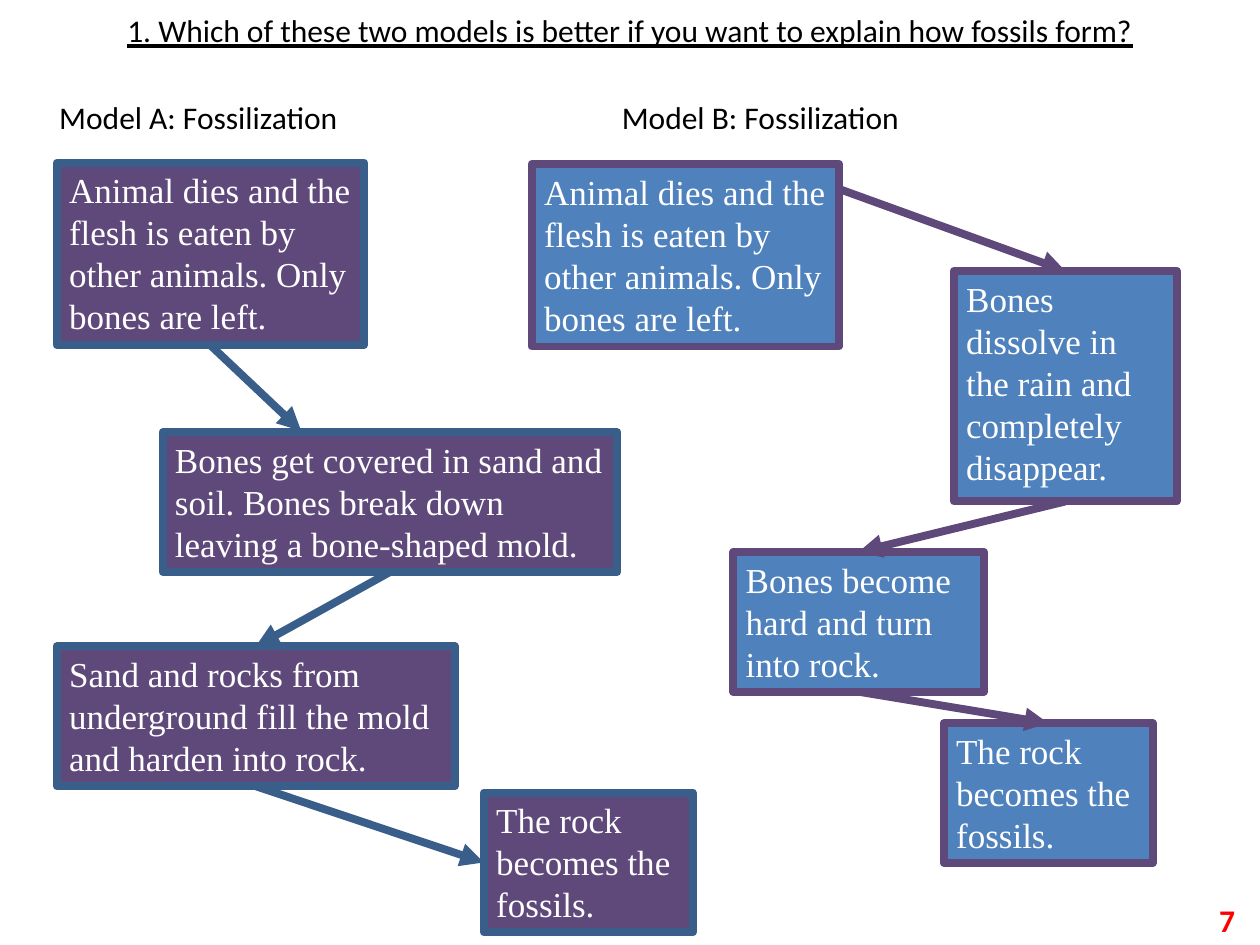
import pptx
import pptx.dml.color
import pptx.enum.shapes
import pptx.enum.text
import pptx.oxml
import pptx.oxml.ns
import pptx.util
from pptx.util import Inches


def color(value):
    return pptx.dml.color.RGBColor.from_string(value)


def write_text(shape, text, font_name, size, text_color, alignment):
    frame = shape.text_frame
    frame.word_wrap = True
    frame.auto_size = pptx.enum.text.MSO_AUTO_SIZE.SHAPE_TO_FIT_TEXT
    frame.vertical_anchor = pptx.enum.text.MSO_ANCHOR.TOP
    frame.text = text
    paragraph = frame.paragraphs[0]
    paragraph.alignment = alignment
    paragraph.font.name = font_name
    paragraph.font.size = pptx.util.Pt(size)
    paragraph.font.color.rgb = color(text_color)
    return paragraph


presentation = pptx.Presentation()
presentation.slide_width = Inches(10)
presentation.slide_height = Inches(7.5)
slide = presentation.slides.add_slide(presentation.slide_layouts[6])
align = pptx.enum.text.PP_ALIGN

labels = [
    ("1. Which of these two models is better if you want to explain how fossils form?",
     0, 0.04, 10, "000000", align.CENTER),
    ("Model A: Fossilization", 0.21, 0.73, 2.73, "000000", align.CENTER),
    ("Model B: Fossilization", 4.67, 0.73, 2.73, "000000", align.CENTER),
    ("7", 7.57, 7.1, 2.33, "FF0000", align.RIGHT),
]
label_paragraphs = []
for text, left, top, width, text_color, alignment in labels:
    label = slide.shapes.add_textbox(Inches(left), Inches(top), Inches(width), Inches(0.4))
    label_paragraphs.append(write_text(label, text, "Calibri", 18, text_color, alignment))
label_paragraphs[0].font.underline = True
label_paragraphs[-1].font.bold = True

first_step = "Animal dies and the flesh is eaten by other animals. Only bones are left."
last_step = "The rock becomes the fossils."
models = [
    ("5F497A", "395E89", [
        (first_step, 0.45, 1.29, 2.44, 1.45),
        ("Bones get covered in sand and soil. Bones break down leaving a bone-shaped mold.",
         1.29, 3.43, 3.61, 1.11),
        ("Sand and rocks from underground fill the mold and harden into rock.",
         0.45, 5.13, 3.16, 1.11),
        (last_step, 3.84, 6.29, 1.66, 1.11),
    ], [
        ((1.67, 2.74), 2, (2.39, 3.42), None),
        ((3.1, 4.54), 2, (2.03, 5.13), 0),
        ((2.03, 6.24), 2, (3.84, 6.85), 1),
    ]),
    ("4F81BD", "5F497A", [
        (first_step, 4.22, 1.3, 2.44, 1.45),
        ("Bones dissolve in the rain and completely disappear.", 7.57, 2.15, 1.77, 1.83),
        ("Bones become hard and turn into rock.", 5.82, 4.38, 1.99, 1.11),
        (last_step, 7.49, 5.74, 1.66, 1.11),
    ], [
        ((6.66, 1.5), None, (8.46, 2.15), 0),
        ((8.46, 3.98), 2, (6.81, 4.38), 0),
        ((6.81, 5.49), 2, (8.32, 5.74), 0),
    ]),
]

for fill_color, line_color, steps, arrows in models:
    boxes = []
    for text, *bounds in steps:
        box = slide.shapes.add_shape(
            pptx.enum.shapes.MSO_SHAPE.RECTANGLE, *[Inches(value) for value in bounds])
        box.shadow.inherit = False
        box.fill.solid()
        box.fill.fore_color.rgb = color(fill_color)
        box.line.color.rgb = color(line_color)
        box.line.width = pptx.util.Pt(4.5)
        write_text(box, text, "Times New Roman", 20, "FFFFFF", align.LEFT)
        boxes.append(box)

    for source, target, (start, start_side, end, end_side) in zip(boxes, boxes[1:], arrows):
        arrow = slide.shapes.add_connector(
            pptx.enum.shapes.MSO_CONNECTOR.STRAIGHT,
            *[Inches(value) for value in start + end])
        if start_side is not None:
            arrow.begin_connect(source, start_side)
        if end_side is not None:
            arrow.end_connect(target, end_side)
        arrow.line.color.rgb = color(line_color)
        arrow.line.width = pptx.util.Pt(4.5)
        head = pptx.oxml.parse_xml(
            f'<a:tailEnd {pptx.oxml.ns.nsdecls("a")} type="triangle"/>')
        arrow.line._get_or_add_ln().append(head)
        properties = arrow._element.spPr
        properties.append(pptx.oxml.parse_xml(f'<a:effectLst {pptx.oxml.ns.nsdecls("a")}/>'))

presentation.save("out.pptx")
